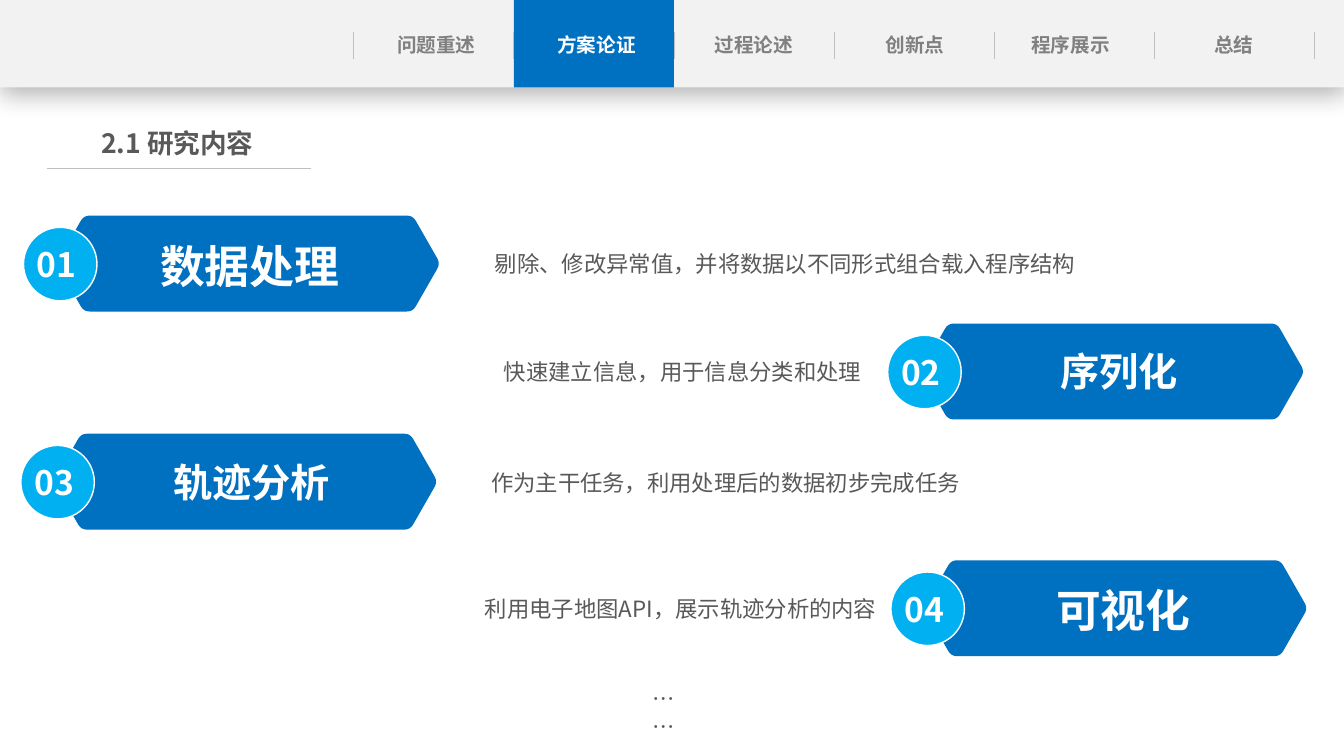
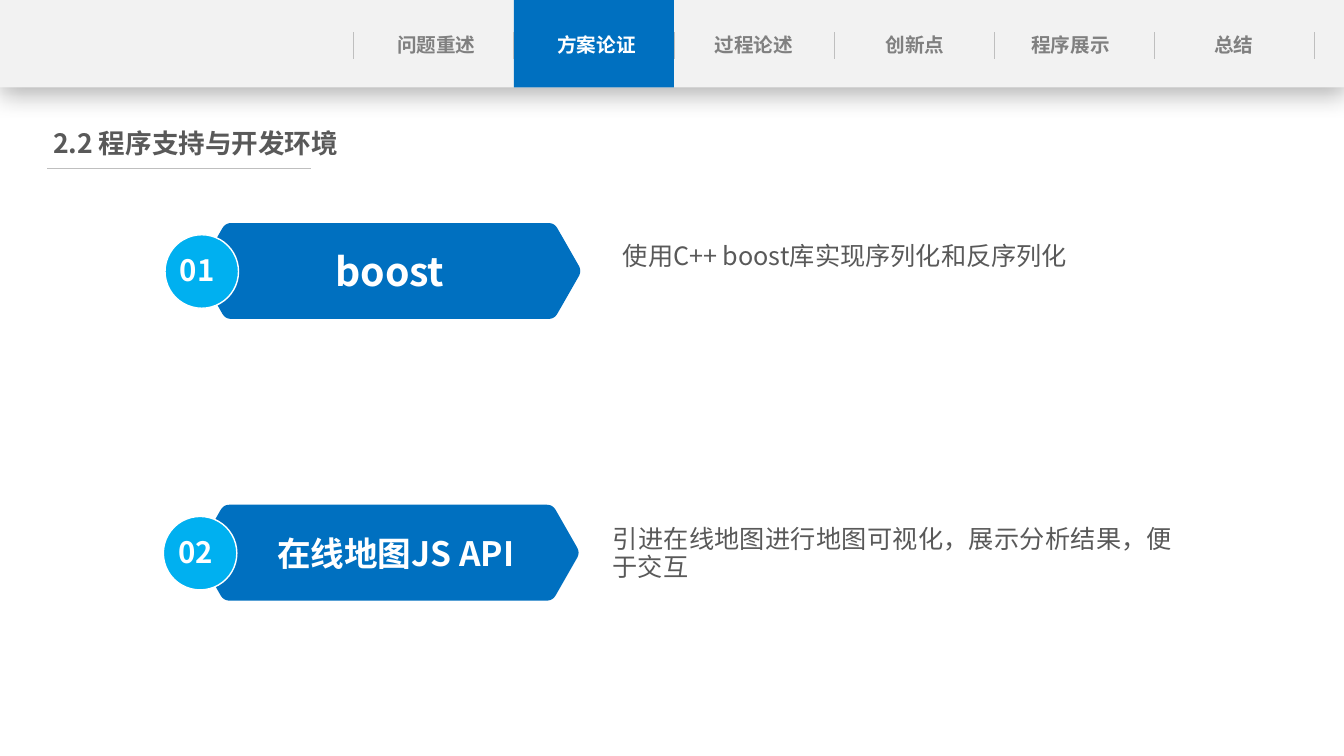
from dataclasses import dataclass
from typing import Any

from lxml import etree
from pptx import Presentation
from pptx.dml.color import RGBColor
from pptx.enum import shapes, text
from pptx.oxml import ns
from pptx.util import Pt

FONT = "Noto Sans CJK SC"
WHITE = RGBColor(0xFF, 0xFF, 0xFF)
BAND_GRAY = RGBColor(0xF2, 0xF2, 0xF2)
RULE_GRAY = RGBColor(0xBF, 0xBF, 0xBF)
TAB_GRAY = RGBColor(0x80, 0x80, 0x80)
TEXT_GRAY = RGBColor(0x59, 0x59, 0x59)
BLUE = RGBColor(0x00, 0x70, 0xC0)
SKY = RGBColor(0x00, 0xB0, 0xF0)

SLIDE_WIDTH, SLIDE_HEIGHT = 960, 540
BAND_HEIGHT = 62.4
TAB_LEFT, TAB_WIDTH = 252.7, 114.35
ACTIVE_TAB = 1
ARROW_WIDTH, ARROW_HEIGHT, ARROW_SLANT = 272.4, 68.5, 19.6
TIP_OVERHANG, CORNER_CUT = 0.9, 4.4
BADGE_SIZE, BADGE_LEFT, BADGE_TOP = 52.5, -24.4, 8.4


@dataclass(frozen=True)
class Tab:
    label: str
    shift: float


@dataclass(frozen=True)
class Note:
    wording: str
    left: float
    top: float
    width: float
    height: float = 19


@dataclass(frozen=True)
class Step:
    label: str
    size: float
    left: float
    top: float
    note: Note
    shift: tuple[float, float] = (0, 0)


@dataclass(frozen=True)
class Section:
    title: str
    title_left: float
    title_width: float
    number_size: float
    number_shift: tuple[float, float]
    note_size: float
    steps: tuple[Step, ...]
    extras: tuple[Note, ...] = ()


TABS = (
    Tab("问题重述", 1.8), Tab("方案论证", 2), Tab("过程论述", 0),
    Tab("创新点", 0.7), Tab("程序展示", -2.5), Tab("总结", -0.3),
)

SECTIONS = (
    Section(
        "2.1 研究内容", 18, 217.4, 24, (-2.5, 0), 16,
        (
            Step("数据处理", 32, 41.2, 154,
                 Note("剔除、修改异常值，并将数据以不同形式组合载入程序结构", 353.5, 177.8, 443.5), (1, 1.8)),
            Step("序列化", 28, 658.5, 231.1,
                 Note("快速建立信息，用于信息分类和处理", 360, 254.9, 400), (4.7, -0.7)),
            Step("轨迹分析", 28, 39.3, 309.8,
                 Note("作为主干任务，利用处理后的数据初步完成任务", 350.8, 334, 400), (4.3, 0.4)),
            Step("可视化", 32, 660.8, 400.2,
                 Note("利用电子地图API，展示轨迹分析的内容", 346.3, 424, 400), (5.4, 1.2)),
        ),
        (Note("……", 465.8, 488.9, 28),),
    ),
    Section(
        "2.2 程序支持与开发环境", 19.4, 240.5, 21, (-3.3, -1.3), 18,
        (
            Step("boost", 28, 142.3, 159.3,
                 Note("使用C++ boost库实现序列化和反序列化", 444.9, 173.5, 400)),
            Step("在线地图JS API", 24, 141.1, 360.5,
                 Note("引进在线地图进行地图可视化，展示分析结果，便于交互", 437.6, 375.1, 400, 40), (5.4, 0)),
        ),
    ),
)


def write(shape: Any, wording: str, size: float, color: RGBColor, bold: bool = True,
          align: Any = text.PP_ALIGN.CENTER, anchor: Any = text.MSO_ANCHOR.MIDDLE,
          shift: tuple[float, float] = (0, 0), wrap: bool = True) -> Any:
    frame = shape.text_frame
    frame.word_wrap = wrap
    frame.vertical_anchor = anchor
    across, down = shift
    frame.margin_left, frame.margin_right = Pt(max(2 * across, 0)), Pt(max(-2 * across, 0))
    frame.margin_top, frame.margin_bottom = Pt(max(2 * down, 0)), Pt(max(-2 * down, 0))
    paragraph = frame.paragraphs[0]
    paragraph.alignment = align
    run = paragraph.add_run()
    run.text = wording
    run.font.size = Pt(size)
    run.font.bold = bold
    run.font.color.rgb = color
    run.font.name = FONT
    etree.SubElement(run.font._element, ns.qn("a:ea"), typeface=FONT)
    return paragraph


def add_text_box(slide: Any, left: float, top: float, width: float, height: float) -> Any:
    return slide.shapes.add_textbox(Pt(left), Pt(top), Pt(width), Pt(height))


def paint(shape: Any, color: RGBColor) -> None:
    shape.shadow.inherit = False
    shape.fill.solid()
    shape.fill.fore_color.rgb = color
    shape.line.fill.background()


def add_block(slide: Any, kind: Any, left: float, top: float, width: float, height: float,
              color: RGBColor) -> Any:
    shape = slide.shapes.add_shape(kind, Pt(left), Pt(top), Pt(width), Pt(height))
    paint(shape, color)
    return shape


def add_rule(slide: Any, start_x: float, start_y: float, end_x: float, end_y: float) -> None:
    rule = slide.shapes.add_connector(
        shapes.MSO_CONNECTOR.STRAIGHT, Pt(start_x), Pt(start_y), Pt(end_x), Pt(end_y))
    rule.line.color.rgb = RULE_GRAY
    rule.line.width = Pt(0.5)
    etree.SubElement(rule._element.spPr, ns.qn("a:effectLst"))


def add_band_shadow(band: Any) -> None:
    effects = band._element.spPr.find(ns.qn("a:effectLst"))
    shadow = etree.SubElement(
        effects, ns.qn("a:outerShdw"), blurRad=str(Pt(18)), dist=str(Pt(4)),
        dir="5400000", algn="t", rotWithShape="0")
    color = etree.SubElement(shadow, ns.qn("a:srgbClr"), val="000000")
    etree.SubElement(color, ns.qn("a:alpha"), val="29000")


def add_navigation(slide: Any) -> None:
    rectangle = shapes.MSO_SHAPE.RECTANGLE
    add_band_shadow(add_block(slide, rectangle, 0, 0, SLIDE_WIDTH, BAND_HEIGHT, BAND_GRAY))
    add_block(slide, rectangle, TAB_LEFT + ACTIVE_TAB * TAB_WIDTH, 0, TAB_WIDTH, BAND_HEIGHT, BLUE)
    for index, tab in enumerate(TABS):
        box = add_text_box(slide, TAB_LEFT + index * TAB_WIDTH + tab.shift, 19.4, TAB_WIDTH, 24.5)
        write(box, tab.label, 14, WHITE if index == ACTIVE_TAB else TAB_GRAY)
    for index in range(len(TABS) + 1):
        divider = TAB_LEFT + index * TAB_WIDTH
        add_rule(slide, divider, 23, divider, 42)


def rounded_outline(corners: list[tuple[float, float]]) -> list[tuple[float, float]]:
    points = []
    for index, (x, y) in enumerate(corners):
        ends = []
        for near_x, near_y in (corners[index - 1], corners[(index + 1) % len(corners)]):
            ratio = CORNER_CUT / ((near_x - x) ** 2 + (near_y - y) ** 2) ** 0.5
            ends.append((x + (near_x - x) * ratio, y + (near_y - y) * ratio))
        (start_x, start_y), (end_x, end_y) = ends
        for part in range(9):
            t = part / 8
            weights = ((1 - t) ** 2, 2 * t * (1 - t), t ** 2)
            points.append((
                weights[0] * start_x + weights[1] * x + weights[2] * end_x,
                weights[0] * start_y + weights[1] * y + weights[2] * end_y))
    return points


def add_arrow(slide: Any, left: float, top: float) -> Any:
    right, bottom = left + ARROW_WIDTH, top + ARROW_HEIGHT
    middle = top + ARROW_HEIGHT / 2
    inner_left = left - TIP_OVERHANG + ARROW_SLANT
    inner_right = right + TIP_OVERHANG - ARROW_SLANT
    outline = rounded_outline([
        (inner_left, top), (inner_right, top), (right + TIP_OVERHANG, middle),
        (inner_right, bottom), (inner_left, bottom), (left - TIP_OVERHANG, middle)])
    points = [(Pt(x), Pt(y)) for x, y in outline]
    builder = slide.shapes.build_freeform(*points[0])
    builder.add_line_segments(points[1:], close=True)
    arrow = builder.convert_to_shape()
    paint(arrow, BLUE)
    return arrow


def add_note(slide: Any, note: Note, size: float) -> None:
    box = add_text_box(slide, note.left, note.top, note.width, note.height)
    paragraph = write(box, note.wording, size, TEXT_GRAY, False,
                      text.PP_ALIGN.JUSTIFY, text.MSO_ANCHOR.TOP)
    paragraph.line_spacing = Pt(20)


def add_step(slide: Any, number: int, step: Step, section: Section) -> None:
    arrow = add_arrow(slide, step.left, step.top)
    write(arrow, step.label, step.size, WHITE, shift=step.shift)
    badge = add_block(slide, shapes.MSO_SHAPE.OVAL, step.left + BADGE_LEFT, step.top + BADGE_TOP,
                      BADGE_SIZE, BADGE_SIZE, SKY)
    badge.line.color.rgb = WHITE
    badge.line.width = Pt(1)
    write(badge, f"{number:02d}", section.number_size, WHITE,
          shift=section.number_shift, wrap=False)
    add_note(slide, step.note, section.note_size)


def add_section(presentation: Any, section: Section) -> None:
    slide = presentation.slides.add_slide(presentation.slide_layouts[6])
    add_navigation(slide)
    add_rule(slide, 33.8, 120.2, 222.5, 120.2)
    title = add_text_box(slide, section.title_left, 87.1, section.title_width, 30.5)
    write(title, section.title, 19, TEXT_GRAY)
    for number, step in enumerate(section.steps, 1):
        add_step(slide, number, step, section)
    for note in section.extras:
        add_note(slide, note, section.note_size)


def main() -> None:
    presentation = Presentation()
    presentation.slide_width = Pt(SLIDE_WIDTH)
    presentation.slide_height = Pt(SLIDE_HEIGHT)
    for section in SECTIONS:
        add_section(presentation, section)
    presentation.save("out.pptx")


if __name__ == "__main__":
    main()
